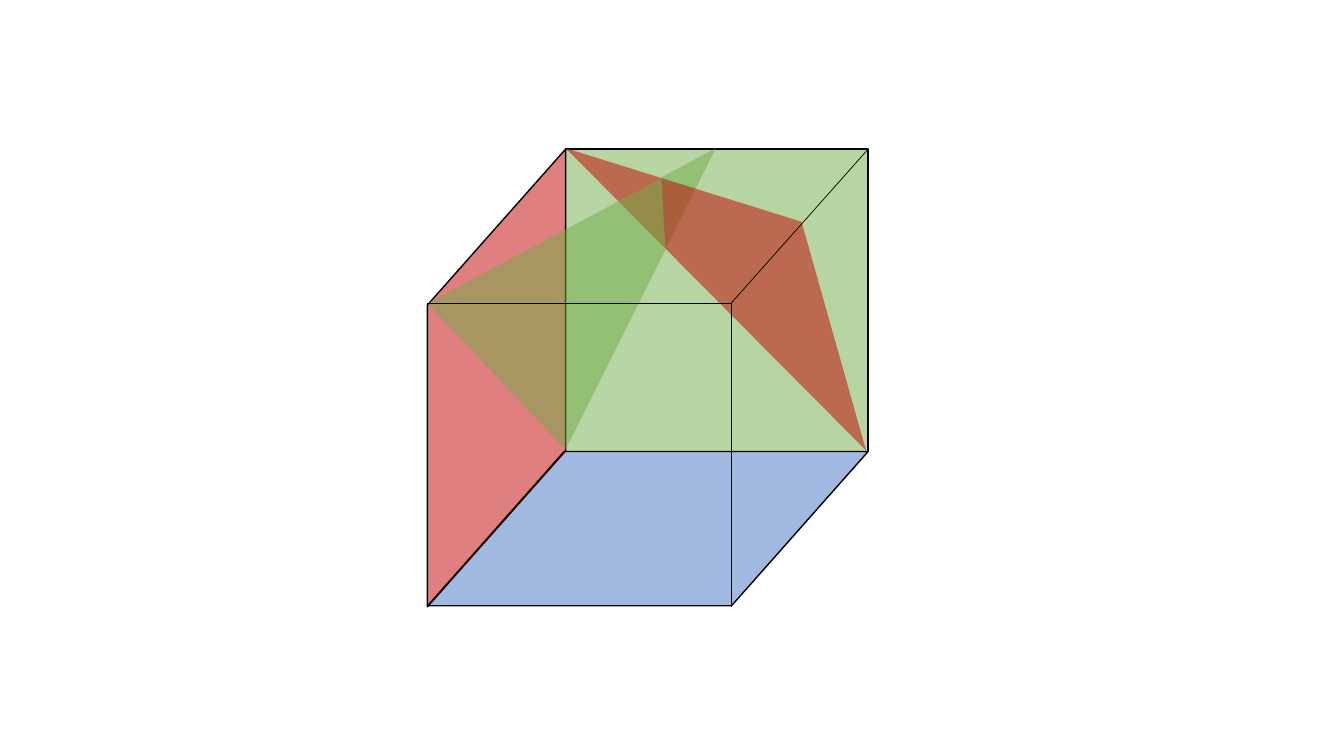
from pptx import Presentation
from pptx.dml.color import RGBColor
from pptx.enum.shapes import MSO_CONNECTOR, MSO_SHAPE
from pptx.oxml.ns import qn
from pptx.util import Inches, Pt
from lxml.etree import SubElement

GREEN = RGBColor(0x70, 0xAD, 0x47)
RED = RGBColor(0xC0, 0x00, 0x00)
BLUE = RGBColor(0x44, 0x72, 0xC4)
BLACK = RGBColor(0x00, 0x00, 0x00)

OPACITY = 50
SIDE = 3.01
DEPTH_X, DEPTH_Y = 1.37, 1.53
FRONT_LEFT, FRONT_TOP = 4.24, 3.01
BACK_LEFT, BACK_TOP = FRONT_LEFT + DEPTH_X, FRONT_TOP - DEPTH_Y
FRONT_RIGHT, FRONT_BOTTOM = FRONT_LEFT + SIDE, FRONT_TOP + SIDE
BACK_RIGHT, BACK_BOTTOM = BACK_LEFT + 3, BACK_TOP + 3

GREEN_TIP = [(6.6, 2.47), (6.56, 1.76), (7.1, 1.47)]
RED_TRIANGLE = [(5.61, 1.47), (7.95, 2.2), (8.59, 4.47)]
GREEN_FRONT = [(4.24, 3.01), (6.56, 1.77), (6.6, 2.48), (5.61, 4.46)]

FRONT_EDGES = [
    ((BACK_RIGHT, BACK_TOP), (FRONT_RIGHT, FRONT_TOP)),
    ((FRONT_RIGHT, FRONT_BOTTOM), (FRONT_RIGHT, FRONT_TOP)),
    ((FRONT_LEFT, FRONT_TOP), (FRONT_RIGHT, FRONT_TOP)),
]


def tint(shape, color):
    shape.shadow.inherit = False
    shape.fill.solid()
    shape.fill.fore_color.rgb = color
    solid = shape._element.spPr.find(qn("a:solidFill"))
    SubElement(solid[0], qn("a:alpha"), val=str(OPACITY * 1000))


def outline(line, points):
    line.color.rgb = BLACK
    line.width = Pt(points)


def add_face(shapes, preset, bounds, color, slant=None):
    face = shapes.add_shape(preset, *map(Inches, bounds))
    if slant:
        face.adjustments[0] = slant
    tint(face, color)
    outline(face.line, 1)
    return face


def add_section(shapes, corners, color):
    start, *others = [(Inches(x), Inches(y)) for x, y in corners]
    builder = shapes.build_freeform(*start)
    builder.add_line_segments(others, close=True)
    section = builder.convert_to_shape()
    tint(section, color)
    section.line.fill.background()


def add_edge(shapes, start, end):
    edge = shapes.add_connector(MSO_CONNECTOR.STRAIGHT, *map(Inches, start + end))
    outline(edge.line, 0.5)
    SubElement(edge._element.spPr, qn("a:effectLst"))


def main():
    deck = Presentation()
    deck.slide_width, deck.slide_height = Inches(13.33), Inches(7.5)
    shapes = deck.slides.add_slide(deck.slide_layouts[6]).shapes

    add_face(shapes, MSO_SHAPE.RECTANGLE, (BACK_LEFT, BACK_TOP, 3, 3), GREEN)
    add_section(shapes, GREEN_TIP, GREEN)
    add_section(shapes, RED_TRIANGLE, RED)

    floor_width = BACK_RIGHT - FRONT_LEFT
    add_face(shapes, MSO_SHAPE.PARALLELOGRAM,
             (FRONT_LEFT, BACK_BOTTOM, floor_width, DEPTH_Y), BLUE, 0.885)

    wall_length = FRONT_BOTTOM - BACK_TOP
    wall_left = (FRONT_LEFT + BACK_LEFT - wall_length) / 2
    wall_top = (BACK_TOP + FRONT_BOTTOM - DEPTH_X) / 2
    wall = add_face(shapes, MSO_SHAPE.PARALLELOGRAM,
                    (wall_left, wall_top, wall_length, DEPTH_X), RED, 1.129)
    wall.rotation = 270
    wall._element.spPr.find(qn("a:xfrm")).set("flipH", "1")

    add_section(shapes, GREEN_FRONT, GREEN)
    for start, end in FRONT_EDGES:
        add_edge(shapes, start, end)

    deck.save("out.pptx")


if __name__ == "__main__":
    main()
